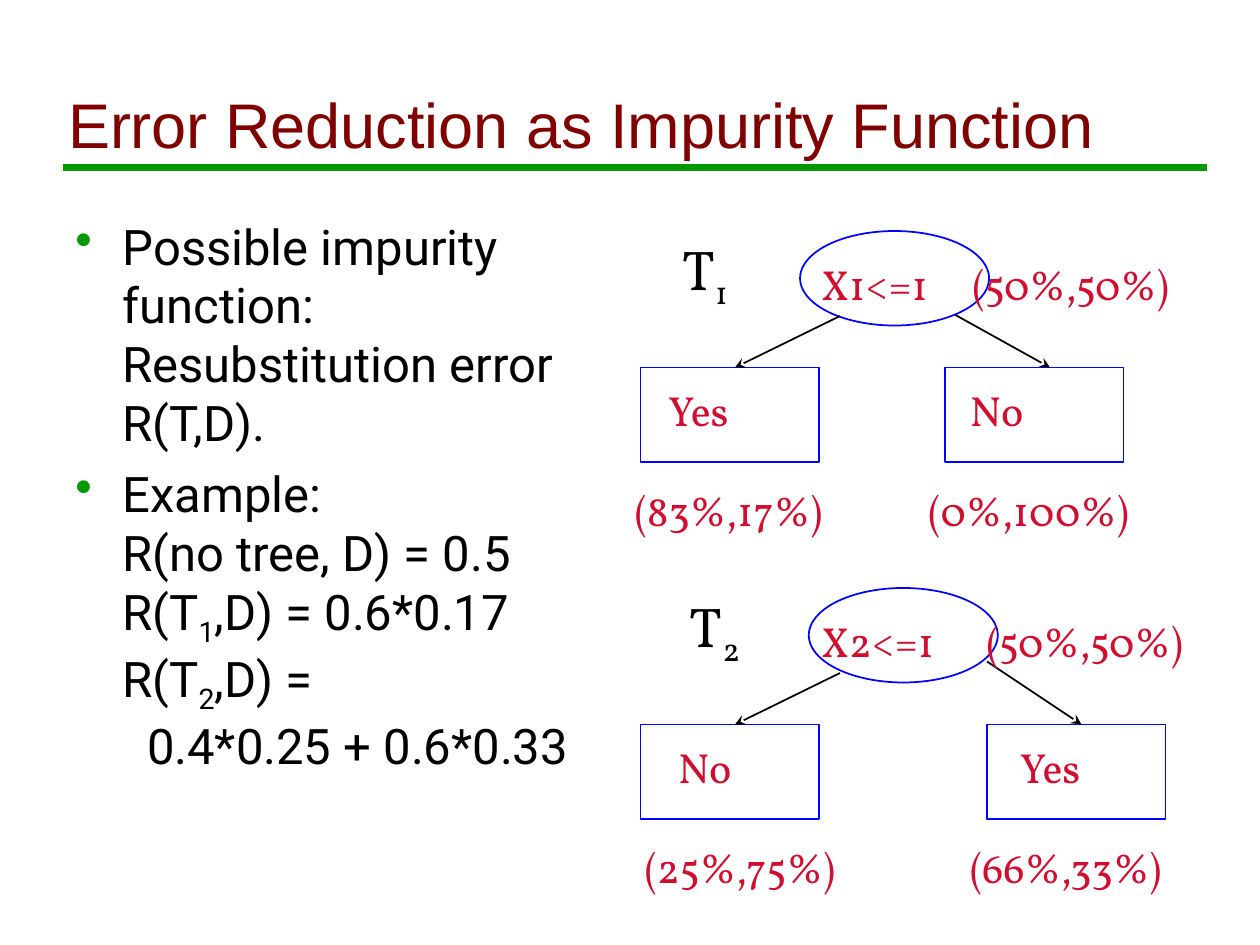
"""Build a slide on error reduction as an impurity function for two decision trees."""
from dataclasses import dataclass

from lxml import etree
from pptx import Presentation
from pptx.dml.color import RGBColor
from pptx.enum.shapes import MSO_CONNECTOR, MSO_SHAPE
from pptx.enum.text import MSO_ANCHOR, MSO_AUTO_SIZE, PP_ALIGN
from pptx.oxml.ns import qn
from pptx.util import Pt

STRAIGHT = MSO_CONNECTOR.STRAIGHT
OVAL, RECTANGLE = MSO_SHAPE.OVAL, MSO_SHAPE.RECTANGLE
LEFT, CENTER = PP_ALIGN.LEFT, PP_ALIGN.CENTER
BOTTOM, NO_FIT = MSO_ANCHOR.BOTTOM, MSO_AUTO_SIZE.NONE

MAROON, GREEN, BLUE, RED, BLACK = "800000", "009900", "0000FF", "CF0E30", "000000"
HEADING_FONT, BODY_FONT, TREE_FONT = "Arial", "Roboto", "Vollkorn"
LEAF_WIDTH, NODE_WIDTH, NODE_HEIGHT = 102, 108, 54


@dataclass(frozen=True)
class Leaf:
    """A leaf box with its label, its class shares and the arrow that reaches it."""
    left: float
    text_left: float
    label: str
    indent: float
    shares: str
    arrow_x: float
    arrow_y: float


@dataclass(frozen=True)
class Tree:
    """A one-split decision tree."""
    top: float
    number: str
    name_left: float
    node_left: float
    test: str
    share_tab: float
    leaves: tuple[Leaf, ...]


TREES = (
    Tree(132, "1", 380.9, 457.2, "X1<=1", 86.5, (
        Leaf(366, 355.7, "Yes", 19, "(83%,17%)", 480, 48.6),
        Leaf(540, 523.4, "No", 23.75, "(0%,100%)", 546, 48))),
    Tree(336, "2", 386.6, 462.2, "X2<=1", 94.5, (
        Leaf(366, 361.4, "No", 19, "(25%,75%)", 480, 48.6),
        Leaf(564, 547.2, "Yes", 28.5, "(66%,33%)", 564, 42))),
)
BULLETS = (
    "Possible impurity function:\vResubstitution error R(T,D).",
    "Example:\vR(no tree, D) = 0.5\vR(T|1|,D) = 0.6*0.17\vR(T|2|,D) =",
)
RESULT = "0.4*0.25 + 0.6*0.33"


def color(value: str) -> RGBColor:
    """Turn a hex string into a colour."""
    return RGBColor.from_string(value)


def format_runs(paragraph, font: str, size: float, hue: str) -> None:
    """Give every run of a paragraph its font, size and colour."""
    for span in paragraph.runs:
        span.font.name = font
        span.font.size = Pt(size)
        span.font.color.rgb = color(hue)


def write_subscripts(paragraph, text: str) -> None:
    """Write text in which bars enclose subscripts and \\v breaks lines."""
    for row, line in enumerate(text.split("\v")):
        if row:
            paragraph.add_line_break()
        for position, part in enumerate(line.split("|")):
            span = paragraph.add_run()
            span.text = part
            if position % 2:
                span.font._element.set("baseline", "-25000")


def set_indent(paragraph, margin: float, hanging: float = 0) -> None:
    """Set the left margin and the hanging indent of a paragraph."""
    properties = paragraph._p.get_or_add_pPr()
    properties.set("marL", str(Pt(margin)))
    properties.set("indent", str(-Pt(hanging)))


def add_bullet(paragraph, hue: str) -> None:
    """Put a coloured bullet before a paragraph."""
    properties = paragraph._p.get_or_add_pPr()
    tint = etree.SubElement(properties, qn("a:buClr"))
    etree.SubElement(tint, qn("a:srgbClr")).set("val", hue)
    etree.SubElement(properties, qn("a:buChar")).set("char", "•")


def add_tab(paragraph, position: float) -> None:
    """Add one left tab stop to a paragraph."""
    stops = etree.SubElement(paragraph._p.get_or_add_pPr(), qn("a:tabLst"))
    stop = etree.SubElement(stops, qn("a:tab"))
    stop.set("pos", str(Pt(position)))
    stop.set("algn", "l")


def add_text_box(page, left: float, top: float, width: float, height: float):
    """Add a wrapping text box and return its text frame."""
    box = page.shapes.add_textbox(Pt(left), Pt(top), Pt(width), Pt(height))
    box.text_frame.word_wrap = True
    return box.text_frame


def add_outline(page, kind, left: float, top: float, width: float) -> None:
    """Draw an unfilled blue node."""
    shape = page.shapes.add_shape(kind, Pt(left), Pt(top), Pt(width), Pt(NODE_HEIGHT))
    shape.shadow.inherit = False
    shape.fill.background()
    shape.line.color.rgb = color(BLUE)
    shape.line.width = Pt(1)


def add_line(page, start: tuple, end: tuple, hue: str, width: float, arrow: bool = False) -> None:
    """Draw a straight line, with an arrowhead at its end if wanted."""
    line = page.shapes.add_connector(STRAIGHT, *map(Pt, start + end))
    line.line.color.rgb = color(hue)
    line.line.width = Pt(width)
    if arrow:
        etree.SubElement(line.line._get_or_add_ln(), qn("a:tailEnd")).set("type", "stealth")
    etree.SubElement(line._element.spPr, qn("a:effectLst"))


def add_title(page) -> None:
    """Place the title above its green rule."""
    title = page.shapes.title
    title.left, title.top, title.width, title.height = map(Pt, (31.7, 18, 645.8, 77.8))
    frame = title.text_frame
    frame.text = "Error Reduction as Impurity Function"
    frame.word_wrap, frame.auto_size, frame.vertical_anchor = True, NO_FIT, BOTTOM
    frame.paragraphs[0].alignment = LEFT
    format_runs(frame.paragraphs[0], HEADING_FONT, 36, MAROON)
    add_line(page, (36, 96), (690, 96), GREEN, 4)


def add_body(page) -> None:
    """Write the bulleted text and the indented result."""
    frame = add_text_box(page, 36, 120, 360, 366)
    for index, text in enumerate(BULLETS):
        paragraph = frame.add_paragraph() if index else frame.paragraphs[0]
        set_indent(paragraph, 27, 27)
        add_bullet(paragraph, GREEN)
        paragraph.space_before = Pt(7 if index else 0)
        write_subscripts(paragraph, text)
    result = frame.add_paragraph()
    result.text = RESULT
    set_indent(result, 41)
    for paragraph in frame.paragraphs:
        format_runs(paragraph, BODY_FONT, 28, BLACK)


def add_leaf(page, leaf: Leaf, top: float) -> None:
    """Draw a leaf, its arrow, its label and its class shares."""
    leaf_top = top + 78
    add_outline(page, RECTANGLE, leaf.left, leaf_top, LEAF_WIDTH)
    tip_x = leaf.left + 54 if leaf.left < leaf.arrow_x - 54 else leaf.arrow_x + 54
    add_line(page, (leaf.arrow_x, top + leaf.arrow_y), (tip_x, leaf_top), BLACK, 1, True)
    frame = add_text_box(page, leaf.text_left, leaf_top + 6, 134, 94)
    frame.text = f"{leaf.label}\n{leaf.shares}"
    label, shares = frame.paragraphs
    set_indent(label, leaf.indent)
    shares.space_before = Pt(28.8)
    for paragraph in frame.paragraphs:
        format_runs(paragraph, TREE_FONT, 24, RED)


def add_tree(page, tree: Tree) -> None:
    """Draw a tree with its name, root test and leaves."""
    add_outline(page, OVAL, tree.node_left, tree.top, NODE_WIDTH)
    for leaf in tree.leaves:
        add_leaf(page, leaf, tree.top)
    root = add_text_box(page, 462.2, tree.top + 12, 240, 36).paragraphs[0]
    root.text = f"{tree.test}\t(50%,50%)"
    add_tab(root, tree.share_tab)
    format_runs(root, TREE_FONT, 24, RED)
    name = add_text_box(page, tree.name_left, tree.top - 1.5, 44, 51).paragraphs[0]
    name.alignment = CENTER
    write_subscripts(name, f"T|{tree.number}|")
    format_runs(name, TREE_FONT, 32, BLACK)


def main() -> None:
    """Build and save the deck."""
    deck = Presentation()
    deck.slide_width, deck.slide_height = Pt(720), Pt(540)
    page = deck.slides.add_slide(deck.slide_layouts[5])
    add_title(page)
    add_body(page)
    for tree in TREES:
        add_tree(page, tree)
    deck.save("out.pptx")


if __name__ == "__main__":
    main()
